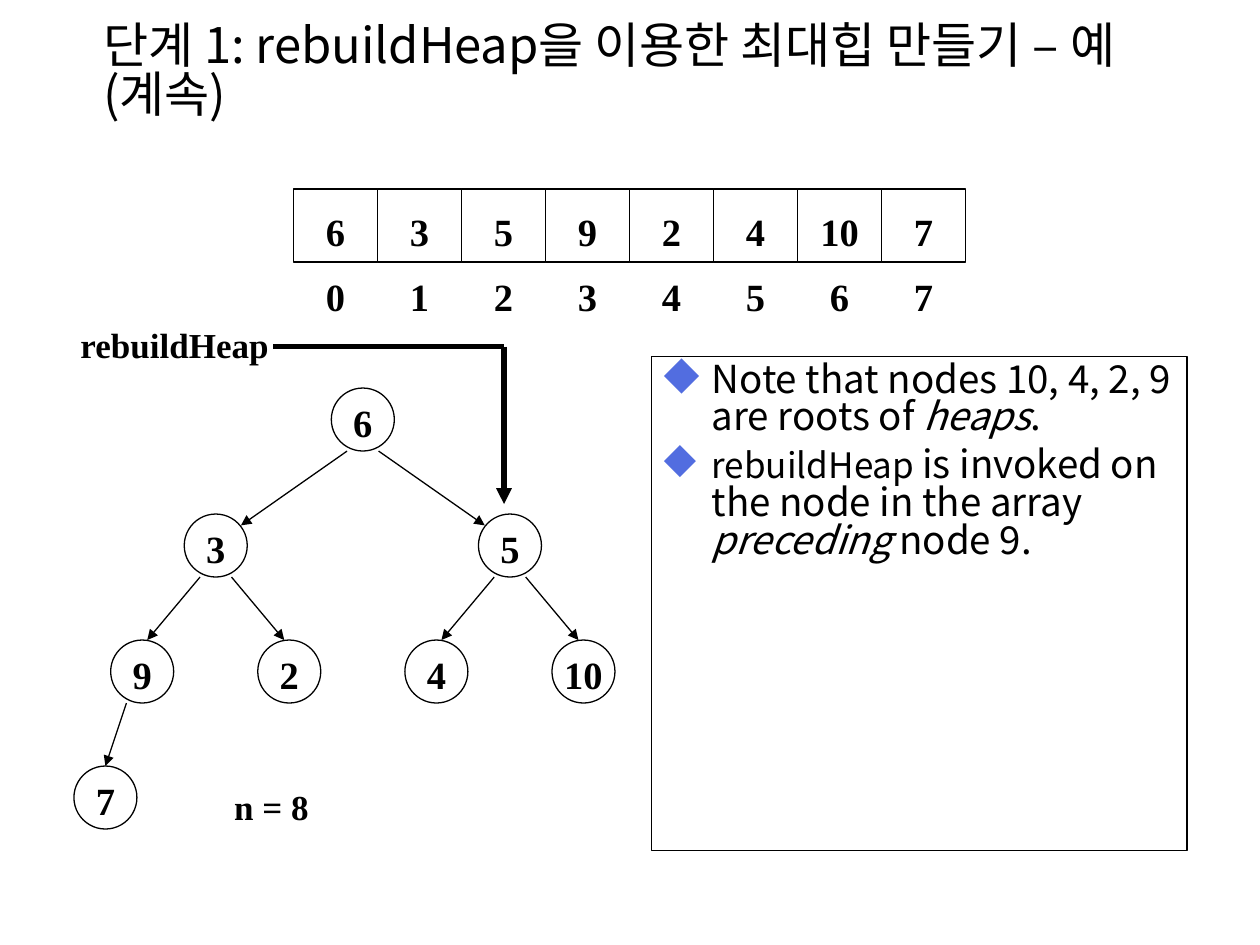
from pptx import Presentation
from pptx.dml.color import RGBColor
from pptx.enum import shapes, text
from pptx.oxml import ns
from pptx.util import Inches, Pt
from lxml import etree

COLORS = {"ink": "000000", "bullet": "526DE0"}
SANS, SERIF = "Noto Sans CJK KR", "Times New Roman"
HEAP = [6, 3, 5, 9, 2, 4, 10, 7]
CELL_W, CELL_H, ARRAY_X, ARRAY_Y = 2 / 3, 0.58, 2.33, 1.5
ROOT_X, ROOT_Y, TREE_W, NODE = 2.88, 3.33, 4.67, 0.5
# Horizontal and vertical shift of each arrow's end from the child's top, by depth
EDGE_END = {1: (0.2, 0.09), 2: (0.04, 0), 3: (0, 0)}


def rgb(name):
    return RGBColor.from_string(COLORS[name])


def sub(parent, tag, **attrs):
    return etree.SubElement(parent, ns.qn(tag), **attrs)


def add_run(p, content, size=22, font=SERIF, bold=False, italic=False):
    r = p.add_run()
    r.text = content
    f = r.font
    f.size, f.name, f.bold, f.italic = Pt(size), font, bold, italic
    f.color.rgb = rgb("ink")
    sub(r._r.get_or_add_rPr(), "a:ea", typeface=font)


def write(shape, content, size=22, font=SERIF, bold=True, align="LEFT",
          anchor="MIDDLE", spacing=1.1, wrap=False, insets=(0.1, 0.05, 0.1, 0.05)):
    tf = shape.text_frame
    tf.word_wrap = wrap
    tf.vertical_anchor = text.MSO_ANCHOR[anchor]
    (tf.margin_left, tf.margin_top,
     tf.margin_right, tf.margin_bottom) = map(Inches, insets)
    p = tf.paragraphs[0]
    p.alignment = text.PP_ALIGN[align]
    p.line_spacing = spacing
    add_run(p, content, size, font, bold)


def add_textbox(s, box, content, **fmt):
    tb = s.shapes.add_textbox(*map(Inches, box))
    write(tb, content, **fmt)


def add_box(s, kind, box, value, insets):
    sp = s.shapes.add_shape(shapes.MSO_SHAPE[kind], *map(Inches, box))
    sp.shadow.inherit = False
    sp.fill.background()
    sp.line.color.rgb = rgb("ink")
    sp.line.width = Pt(0.75)
    write(sp, str(value), align="CENTER", insets=insets)


def add_line(s, start, end, width=0.75, arrow=True):
    c = s.shapes.add_connector(shapes.MSO_CONNECTOR.STRAIGHT,
                               *map(Inches, (*start, *end)))
    c.line.color.rgb = rgb("ink")
    c.line.width = Pt(width)
    if arrow:
        sub(c.line._get_or_add_ln(), "a:tailEnd", type="triangle")
    sub(c._element.spPr, "a:effectLst")


def add_notes_panel(s, items):
    tb = s.shapes.add_textbox(*map(Inches, (5.17, 2.83, 4.25, 3.92)))
    tb.line.color.rgb = rgb("ink")
    tb.line.width = Pt(0.75)
    tf = tb.text_frame
    tf.word_wrap = True
    for i, runs in enumerate(items):
        p = tf.add_paragraph() if i else tf.paragraphs[0]
        p.line_spacing = 0.82
        p.space_before = Pt(5.5 if i else 0)
        pPr = p._p.get_or_add_pPr()
        pPr.set("marL", str(Inches(0.38)))
        pPr.set("indent", str(Inches(-0.38)))
        sub(sub(pPr, "a:buClr"), "a:srgbClr", val=COLORS["bullet"])
        sub(pPr, "a:buSzPct", val="120000")
        sub(pPr, "a:buChar", char="◆")
        for content, fmt in runs:
            add_run(p, content, font=SANS, **fmt)


def add_array(s):
    for i, value in enumerate(HEAP):
        x = ARRAY_X + i * CELL_W
        add_box(s, "RECTANGLE", (x, ARRAY_Y, CELL_W, CELL_H), value, (0, 0.05, 0, 0))
        add_textbox(s, (x, ARRAY_Y + CELL_H, CELL_W, 0.51), str(i),
                    align="CENTER", anchor="TOP", wrap=True)


def node_center(index):
    depth = (index + 1).bit_length() - 1
    count = 2 ** depth
    place = index + 1 - count
    return ROOT_X + (place + 0.5 - count / 2) * TREE_W / count, ROOT_Y + depth, depth


def add_tree(s):
    for i, value in enumerate(HEAP):
        x, y, depth = node_center(i)
        add_box(s, "OVAL", (x - NODE / 2, y - NODE / 2, NODE, NODE), value, (0, 0, 0, 0))
        if i:
            px, py, _ = node_center((i - 1) // 2)
            side = 1 if x > px else -1
            dx, dy = EDGE_END[depth]
            add_line(s, (px + side * NODE / 4, py + NODE / 2),
                     (x - side * dx, y - NODE / 2 + dy))


def main():
    prs = Presentation()
    prs.slide_width, prs.slide_height = Inches(10), Inches(7.5)
    s = prs.slides.add_slide(prs.slide_layouts[6])

    # Title
    add_textbox(s, (0.72, 0.02, 8.5, 1.13),
                "단계 1: rebuildHeap을 이용한 최대힙 만들기 – 예 (계속)",
                size=28, font=SANS, bold=False, spacing=0.82, wrap=True,
                insets=(0.1, 0.05, 0.3, 0.05))

    # Array and heap
    add_array(s)
    add_tree(s)
    add_textbox(s, (1.76, 6.15, 2.28, 0.47), "n = 8", size=20, anchor="TOP", wrap=True)

    # Call pointing at the current node
    add_textbox(s, (0.54, 2.48, 1.7, 0.47), "rebuildHeap", size=20)
    add_line(s, (2.17, 2.75), (4, 2.75), width=3, arrow=False)
    add_line(s, (4, 2.75), (4, 4), width=3)

    # Explanation
    add_notes_panel(s, [
        [("Note that nodes 10, 4, 2, 9 are roots of ", {}),
         ("heaps", {"italic": True}), (".", {})],
        [("rebuildHeap ", {"size": 20}),
         ("is invoked on the node in the array ", {}),
         ("preceding", {"italic": True}), (" node 9.", {})],
    ])
    prs.save("out.pptx")


if __name__ == "__main__":
    main()
